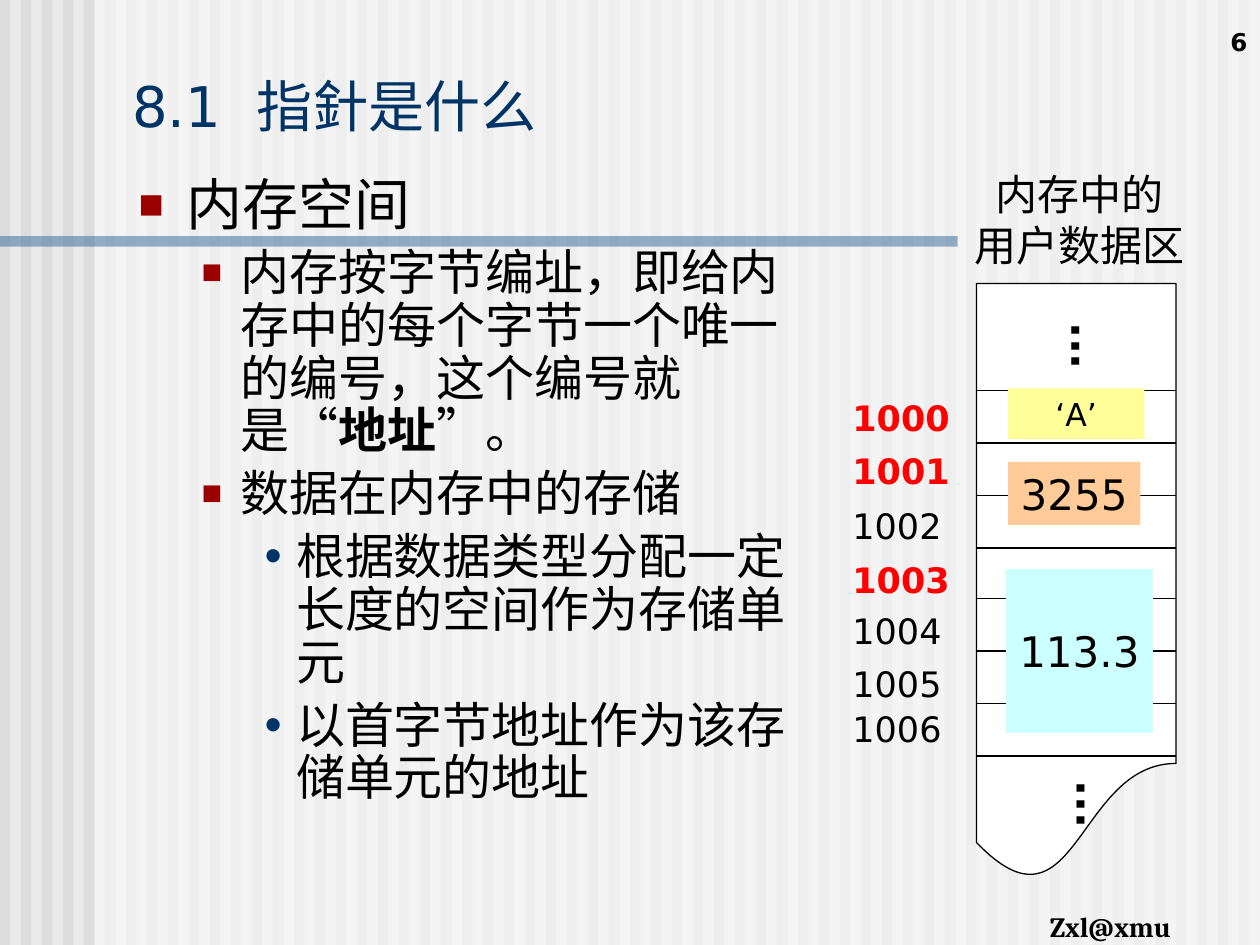
from dataclasses import dataclass

from lxml import etree
from pptx import Presentation
from pptx import util as u
from pptx.dml.color import RGBColor
from pptx.enum import shapes, text
from pptx.oxml import ns

COLS, ROWS = 120, 90
MEM_LEFT, MEM_RIGHT = 93, 112


@dataclass(frozen=True)
class Theme:
    font: str = "DejaVu Sans"
    quote_font: str = "Times New Roman"
    footer_font: str = "Cambria"
    back: str = "EAEAEA"
    stripe: str = "DDDDDD"
    white: str = "FFFFFF"
    bar: str = "336699"
    ink: str = "000000"
    navy: str = "003366"
    bullet: str = "9A0000"
    address: str = "FF0000"
    char: str = "FFFF99"
    integer: str = "FFCC99"
    real: str = "CCFFFF"
    title: int = 32
    body: int = 28
    large: int = 24
    label: int = 20
    medium: int = 18
    footer: int = 16
    number: int = 14


T = Theme()


def grid(*cells):
    return [u.Inches(c / 12) for c in cells]


def sub(parent, tag, **attrs):
    return etree.SubElement(parent, ns.qn(tag), attrs)


def write(p, content, size=T.label, font=T.font, color=T.ink, bold=False,
          align=text.PP_ALIGN.LEFT, tracking=None):
    p.alignment = align
    r = p.add_run()
    r.text = content
    r.font.size = u.Pt(size)
    r.font.name = font
    r.font.bold = bold
    r.font.color.rgb = RGBColor.from_string(color)
    if tracking:
        r.font._element.set("spc", str(tracking * 100))


def add_box(slide, cells, fill, alpha=None, line=None,
            kind=shapes.MSO_SHAPE.RECTANGLE):
    sp = slide.shapes.add_shape(kind, *grid(*cells))
    sp.shadow.inherit = False
    sp.fill.solid()
    sp.fill.fore_color.rgb = RGBColor.from_string(fill)
    if alpha:
        clr = sp.element.spPr.find(".//" + ns.qn("a:srgbClr"))
        sub(clr, "a:alpha", val=str(alpha * 1000))
    if line:
        sp.line.color.rgb = RGBColor.from_string(line)
        sp.line.width = u.Pt(0.75)
    else:
        sp.line.fill.background()
    return sp


def add_label(slide, cells, *lines, wrap=False, anchor=text.MSO_ANCHOR.TOP, **fmt):
    tf = slide.shapes.add_textbox(*grid(*cells)).text_frame
    tf.word_wrap = wrap
    tf.vertical_anchor = anchor
    for i, line in enumerate(lines):
        write(tf.add_paragraph() if i else tf.paragraphs[0], line, **fmt)
    return tf


def add_value(slide, cells, content, fill, size):
    tf = add_box(slide, cells, fill).text_frame
    tf.word_wrap = False
    tf.vertical_anchor = text.MSO_ANCHOR.MIDDLE
    write(tf.paragraphs[0], content, size=size, align=text.PP_ALIGN.CENTER)


def add_divider(slide, row):
    ends = grid(MEM_LEFT, row, MEM_RIGHT, row)
    cx = slide.shapes.add_connector(shapes.MSO_CONNECTOR.STRAIGHT, *ends)
    cx.line.color.rgb = RGBColor.from_string(T.ink)
    cx.line.width = u.Pt(0.75)
    sub(cx.element.spPr, "a:effectLst")


def add_dots(slide, col, row):
    tf = add_label(slide, (col, row, 6.2, 5.5), "...", size=T.large, bold=True)
    tf._txBody.bodyPr.set("vert", "eaVert")
    tf.paragraphs[0].line_spacing = 0.8


def place(sp, cells):
    sp.left, sp.top, sp.width, sp.height = grid(*cells)
    sp.element.getparent().append(sp.element)
    sp.text_frame.auto_size = text.MSO_AUTO_SIZE.NONE
    return sp.text_frame


def add_bullet(p, level):
    indent, hang, mark, color, pct = (
        (0.38, 0.38, "■", T.bullet, 75),
        (0.81, 0.31, "■", T.bullet, 70),
        (1.25, 0.25, "•", T.navy, 100),
    )[level]
    pPr = p._p.get_or_add_pPr()
    pPr.set("marL", str(u.Inches(indent)))
    pPr.set("indent", str(-u.Inches(hang)))
    sub(sub(pPr, "a:buClr"), "a:srgbClr", val=color)
    sub(pPr, "a:buSzPct", val=str(pct * 1000))
    sub(pPr, "a:buChar", char=mark)
    p.level = level
    p.line_spacing = 0.9


def draw_background(slide):
    slide.background.fill.solid()
    slide.background.fill.fore_color.rgb = RGBColor.from_string(T.back)
    for col in range(0, COLS, 2):
        add_box(slide, (col, 0, 1, ROWS), T.stripe)
    add_box(slide, (9, 0, COLS - 9, ROWS), T.white, alpha=50)
    add_box(slide, (0, 22.5, 91.2, 1), T.bar, alpha=50)
    add_label(slide, (98.8, 86, 15.5, 4.4), "Zxl@xmu",
              size=T.footer, font=T.footer_font, bold=True)
    add_label(slide, (95, 0, 25, 6), "6", wrap=True, anchor=text.MSO_ANCHOR.BOTTOM,
              size=T.number, bold=True, align=text.PP_ALIGN.RIGHT)


def draw_text(slide):
    tf = place(slide.shapes.title, (11.4, 6.2, 107.2, 7.6))
    tf.vertical_anchor = text.MSO_ANCHOR.BOTTOM
    for content, tracking in (("8.1", None), (" ", 10), ("指針是什么", None)):
        write(tf.paragraphs[0], content, size=T.title, color=T.navy, tracking=tracking)

    tf = place(slide.placeholders[1], (12, 16.3, 67.1, 67.6))
    quote = {"font": T.quote_font}
    items = (
        (0, [("内存空间", {"size": T.title})]),
        (1, [("内存按字节编址，即给内存中的每个字节一个唯一的编号，这个编号就是", {}),
             ("“", quote), ("地址", {"bold": True}), ("”", quote), ("。", {})]),
        (1, [("数据在内存中的存储", {})]),
        (2, [("根据数据类型分配一定长度的空间作为存储单元", {})]),
        (2, [("以首字节地址作为该存储单元的地址", {})]),
    )
    for i, (level, runs) in enumerate(items):
        p = tf.add_paragraph() if i else tf.paragraphs[0]
        add_bullet(p, level)
        if i == 0:
            p.space_before = u.Pt(0)
        for content, fmt in runs:
            write(p, content, **{"size": T.body, **fmt})


def draw_memory(slide):
    add_box(slide, (MEM_LEFT, 27, MEM_RIGHT - MEM_LEFT, 57), T.white, line=T.ink,
            kind=shapes.MSO_SHAPE.FLOWCHART_DOCUMENT)
    for row in (37.2, 42.2, 47.2, 52.2, 57, 62, 67, 72):
        add_divider(slide, row)
    add_dots(slide, 100, 73.2)
    add_dots(slide, 99.5, 29.5)
    add_label(slide, (91.2, 15.5, 23.2, 10.8), "内存中的", "用户数据区", wrap=True,
              size=T.large, align=text.PP_ALIGN.CENTER)
    starts = (1000, 1001, 1003)
    for address, row in enumerate((37.2, 42.2, 47.5, 52.6, 57.5, 62.5, 66.8), 1000):
        first = address in starts
        add_label(slide, (80, row, 12 if first else 10.9, 5.2), str(address),
                  bold=first, color=T.address if first else T.ink)
    add_value(slide, (96, 37, 13, 4.8), "‘A’", T.char, T.medium)
    add_value(slide, (96, 44, 12.6, 6), "3255", T.integer, T.large)
    add_value(slide, (95.8, 54.2, 14, 15.6), "113.3", T.real, T.large)


def main():
    prs = Presentation()
    prs.slide_width, prs.slide_height = grid(COLS, ROWS)
    slide = prs.slides.add_slide(prs.slide_layouts[1])
    draw_background(slide)
    draw_text(slide)
    draw_memory(slide)
    prs.save("out.pptx")


if __name__ == "__main__":
    main()
